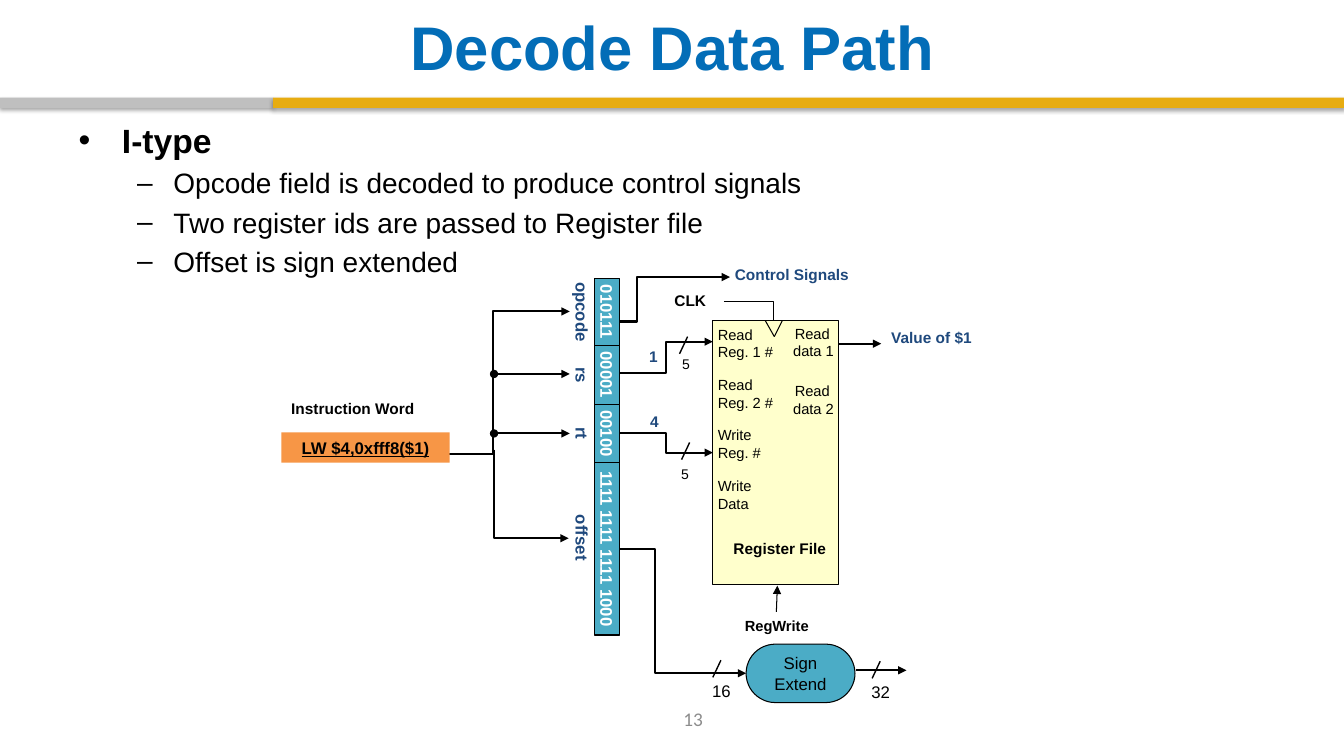
from dataclasses import dataclass

from lxml.etree import SubElement
from pptx import Presentation
from pptx.dml.color import RGBColor
from pptx.enum.shapes import MSO_CONNECTOR, MSO_SHAPE
from pptx.enum.text import MSO_ANCHOR, MSO_AUTO_SIZE, PP_ALIGN
from pptx.oxml.ns import qn
from pptx.util import Inches, Pt


@dataclass(frozen=True)
class Theme:
    black: str = "000000"
    white: str = "FFFFFF"
    blue: str = "036DB7"
    navy: str = "1F497D"
    gold: str = "E7AC11"
    silver: str = "BFBFBF"
    gray: str = "8C8C8C"
    teal: str = "4BACC6"
    cream: str = "FFFFCC"
    orange: str = "F79646"
    font: str = "Arial"
    footer_font: str = "Calibri"
    title: float = 44
    heading: float = 24
    bullet: float = 20
    field: float = 12
    label: float = 11
    port: float = 10.5
    width: float = 10
    number: float = 13.8


theme = Theme()
CENTER, RIGHT = PP_ALIGN.CENTER, PP_ALIGN.RIGHT
TIGHT, NARROW = 0.05, 0.03

deck = Presentation()
deck.slide_width, deck.slide_height = Inches(13.33), Inches(7.5)
slide = deck.slides.add_slide(deck.slide_layouts[1])


def add_box(at, text="", shape=None, fill=None, outline=None, color=theme.black,
            align=PP_ALIGN.LEFT, anchor=MSO_ANCHOR.TOP, wrap=True, inset=0.1,
            turn=0, **font):
    """Add a text box, or the preset shape if one is given; font holds font attributes."""
    frame_at = [Inches(value) for value in at]
    if shape is None:
        box = slide.shapes.add_textbox(*frame_at)
    else:
        box = slide.shapes.add_shape(shape, *frame_at)
        box.shadow.inherit = False
        box.fill.solid()
        box.fill.fore_color.rgb = RGBColor.from_string(fill)
        if outline:
            box.line.color.rgb = RGBColor.from_string(outline)
            box.line.width = Pt(0.75)
        else:
            box.line.fill.background()
    box.rotation = turn
    frame = box.text_frame
    layout = {"word_wrap": wrap, "vertical_anchor": anchor,
              "margin_left": Inches(inset), "margin_right": Inches(inset)}
    for name, value in layout.items():
        setattr(frame, name, value)
    para = frame.paragraphs[0]
    para.text, para.alignment = text, align
    style = {"name": theme.font, "size": theme.label} | font
    style["size"] = Pt(style["size"])
    for span in para.runs:
        for name, value in style.items():
            setattr(span.font, name, value)
        span.font.color.rgb = RGBColor.from_string(color)
    return box


def add_wire(start, end, bend=None, weight=1.5, head=None, tail="triangle"):
    """Add a line; bend is the share of the width at which an elbow turns."""
    kind = MSO_CONNECTOR.STRAIGHT if bend is None else MSO_CONNECTOR.ELBOW
    wire = slide.shapes.add_connector(kind, *[Inches(v) for v in (*start, *end)])
    wire.line.color.rgb = RGBColor.from_string(theme.black)
    wire.line.width = Pt(weight)
    properties = wire._element.spPr
    line = properties.find(qn("a:ln"))
    for tag, arrow in (("a:headEnd", head), ("a:tailEnd", tail)):
        if arrow:
            SubElement(line, qn(tag), type=arrow)
    SubElement(properties, qn("a:effectLst"))
    if bend is not None:
        guides = properties.find(qn("a:prstGeom")).get_or_add_avLst()
        SubElement(guides, qn("a:gd"), name="adj1", fmla=f"val {round(bend * 100000)}")


# Header bars and slide number
for left, width, color in ((0, 2.71, theme.silver), (2.71, 10.62, theme.gold)):
    bar = add_box((left, 0.97, width, 0.1), shape=MSO_SHAPE.RECTANGLE, fill=color)
    effects = bar._element.spPr.find(qn("a:effectLst"))
    shadow = SubElement(effects, qn("a:outerShdw"), blurRad=str(Pt(3.1)),
                        dist=str(Pt(1.8)), dir="5400000", rotWithShape="0")
    shade = SubElement(shadow, qn("a:srgbClr"), val=theme.black)
    SubElement(shade, qn("a:alpha"), val="35000")
add_box((5.32, 6.93, 3.11, 0.4), "13", color=theme.gray, align=CENTER,
        anchor=MSO_ANCHOR.MIDDLE, name=theme.footer_font, size=theme.number)

# Title and list
title, body = slide.shapes.title, slide.placeholders[1]
for holder, place in ((title, (0.67, 0.08, 12, 0.76)), (body, (0.68, 1.14, 12, 5.43))):
    for name, value in zip(("left", "top", "width", "height"), place):
        setattr(holder, name, Inches(value))
    holder.text_frame.auto_size = MSO_AUTO_SIZE.NONE
title.text_frame.vertical_anchor = MSO_ANCHOR.MIDDLE
title.text = "Decode Data Path"
heading = title.text_frame.paragraphs[0]
heading.alignment = CENTER
styled = [(heading, theme.title, True, theme.blue)]

body.text = "\n".join(("I-type",
                       "Opcode field is decoded to produce control signals",
                       "Two register ids are passed to Register file",
                       "Offset is sign extended"))
for index, para in enumerate(body.text_frame.paragraphs):
    para.level = min(index, 1)
    margin, hang, mark, size = ((0.94, 0.36, "–", theme.bullet) if index
                                else (0.43, 0.43, "•", theme.heading))
    properties = para._p.get_or_add_pPr()
    properties.set("marL", str(Inches(margin)))
    properties.set("indent", str(-Inches(hang)))
    SubElement(properties, qn("a:buChar"), char=mark)
    if index == 0:
        para.space_before = Pt(0)
    styled.append((para, size, index == 0, theme.black))
for para, size, bold, color in styled:
    for name, value in {"name": theme.font, "size": Pt(size), "bold": bold}.items():
        setattr(para.font, name, value)
    para.font.color.rgb = RGBColor.from_string(color)

# Instruction fields, stacked from top to bottom
field_format = {"align": CENTER, "anchor": MSO_ANCHOR.MIDDLE, "wrap": False,
                "inset": 0, "turn": 90, "size": theme.field, "bold": True}
field_top, thick = 2.76, 0.25
for name, bits, length, label_shift in (("opcode", "010111", 0.67, 0),
                                        ("rs", "00001", 0.58, 0),
                                        ("rt", "00100", 0.58, 0),
                                        ("offset", "1111 1111 1111 1000", 1.71, -0.11)):
    middle = field_top + length / 2
    add_box((6.02 - length / 2, middle - thick / 2, length, thick), bits,
            MSO_SHAPE.RECTANGLE, theme.teal, theme.black, theme.white, **field_format)
    add_box((5.44, middle + label_shift - thick / 2, 0.67, thick), name,
            color=theme.navy, **field_format)
    field_top += length

# Register file with its ports
add_box((7.07, 3.18, 1.25, 2.62), shape=MSO_SHAPE.RECTANGLE,
        fill=theme.cream, outline=theme.black)
for index, port in enumerate(("Read \vReg. 1 #", "Read \vReg. 2 #",
                              "Write\vReg. #", "Write \vData")):
    add_box((7.07, 3.18 + 0.5 * index, 0.83, 0.45), port, inset=TIGHT, size=theme.port)
for top, port in ((3.17, "Read \vdata 1"), (3.74, "Read \vdata 2")):
    add_box((7.74, top, 0.58, 0.45), port, align=RIGHT, inset=TIGHT, size=theme.port)
add_box((7.28, 6.07, 0.85, 0.28), "RegWrite", align=CENTER, inset=TIGHT,
        size=theme.port, bold=True)
add_box((7.4, 6.39, 1.08, 0.58), "Sign Extend", MSO_SHAPE.ROUNDED_RECTANGLE, theme.teal,
        theme.black, align=CENTER, anchor=MSO_ANCHOR.MIDDLE,
        size=theme.field).adjustments[0] = 0.5

# Bold labels
for left, top, width, text, color, align in (
        (2.79, 3.91, 1.5, "Instruction Word", theme.black, None),
        (6.59, 2.84, 0.58, "CLK", theme.black, None),
        (7.11, 5.3, 1.25, "Register File", theme.black, CENTER),
        (7.19, 2.58, 2.54, "Control Signals", theme.navy, None),
        (8.74, 3.21, 1.33, "Value of $1", theme.navy, None),
        (6.34, 3.39, 0.33, "1", theme.navy, None),
        (6.35, 4.04, 0.33, "4", theme.navy, None)):
    add_box((left, top, width, 0.29), text, color=color, align=align, bold=True)

# Wires, with the instruction word over the start of the first one
for start, end, bend in (((3.67, 4.5), (5.65, 3.09), 0.617),
                         ((4.9, 4.46), (5.64, 5.34), 0),
                         ((6.15, 3.19), (7.24, 2.75), 0.158),
                         ((6.15, 3.7), (7.07, 3.39), 0.5),
                         ((6.15, 4.3), (7.07, 4.49), 0.5),
                         ((6.15, 5.45), (7.4, 6.68), 0.28),
                         ((8.32, 3.41), (8.74, 3.41), None),
                         ((8.49, 6.65), (8.99, 6.65), None)):
    add_wire(start, end, bend)
for height in (3.71, 4.3):
    add_wire((4.9, height), (5.65, height), head="oval")
add_wire((7.7, 6.07), (7.71, 5.81), weight=0.75)
add_box((2.79, 4.29, 1.67, 0.3), "LW $4,0xfff8($1)", MSO_SHAPE.RECTANGLE, theme.orange,
        align=CENTER, size=theme.field, bold=True, underline=True)

# Clock line and its notch
add_wire((7.18, 2.99), (7.67, 3.18), bend=1, weight=0.75, tail=None)
for left in (7.59, 7.76):
    add_wire((left, 3.18), (7.68, 3.34), weight=0.75, tail=None)

# Bus widths: a slash across the wire and the number of bits
for slash, place, bits, size in (((6.74, 3.51), (6.64, 3.48), "5", theme.width),
                                 ((6.76, 4.56), (6.63, 4.57), "5", theme.width),
                                 ((7.07, 6.72), (6.99, 6.7), "16", theme.field),
                                 ((8.65, 6.73), (8.57, 6.71), "32", theme.field)):
    add_wire(slash, (slash[0] + 0.08, slash[1] - 0.17), weight=1, tail=None)
    add_box((*place, 0.33, 0.28), bits, align=CENTER, inset=NARROW, size=size)

deck.save("out.pptx")
